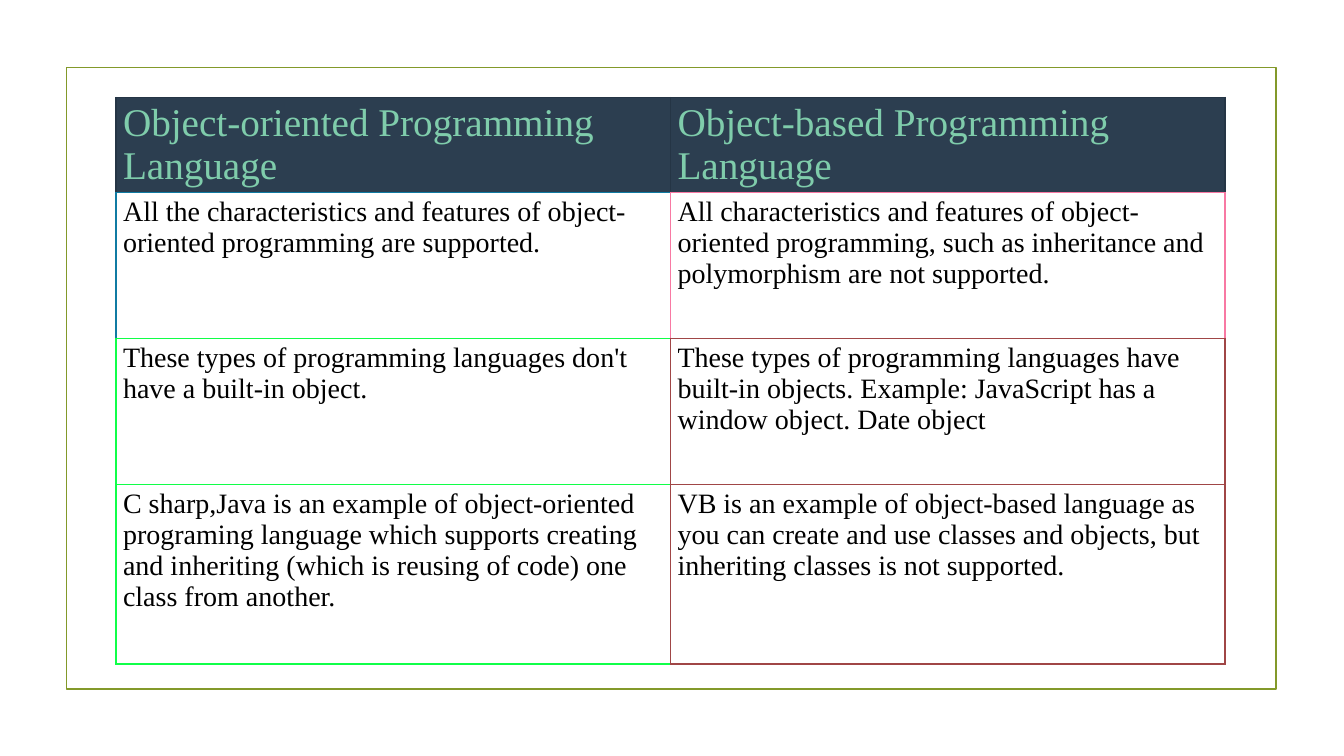
from dataclasses import dataclass
from typing import NamedTuple

from lxml import etree
from pptx import Presentation
from pptx.dml.color import RGBColor
from pptx.enum.shapes import MSO_SHAPE
from pptx.enum.text import MSO_ANCHOR
from pptx.oxml.ns import qn
from pptx.util import Inches, Pt

RECTANGLE = MSO_SHAPE.RECTANGLE
TOP = MSO_ANCHOR.TOP
MIDDLE = MSO_ANCHOR.MIDDLE

SLIDE_WIDTH = Inches(13.33)
SLIDE_HEIGHT = Inches(7.5)


@dataclass(frozen=True)
class Theme:
    font: str = "Times New Roman"
    heading_size: float = 28
    body_size: float = 20
    frame_width: float = 1.25
    border_width: float = 1
    olive: str = "83992A"
    navy: str = "2C3E50"
    dark_navy: str = "253545"
    mint: str = "7FCCAB"
    white: str = "FFFFFF"
    black: str = "000000"
    teal: str = "107BA3"
    pink: str = "F879A3"
    green: str = "10FF48"
    red: str = "A04646"


THEME = Theme()


class Area(NamedTuple):
    """Percentages of the slide's width and height."""

    left: float
    top: float
    width: float
    height: float


class Borders(NamedTuple):
    left: str
    right: str
    top: str
    bottom: str


@dataclass(frozen=True)
class Entry:
    text: str
    borders: Borders


@dataclass(frozen=True)
class CellStyle:
    fill: str
    color: str
    size: float
    anchor: MSO_ANCHOR


@dataclass(frozen=True)
class Row:
    height: float
    style: CellStyle
    entries: tuple[Entry, ...]


HEADING = CellStyle(THEME.navy, THEME.mint, THEME.heading_size, MIDDLE)
BODY = CellStyle(THEME.white, THEME.black, THEME.body_size, TOP)

HEADING_LEFT = Borders(THEME.dark_navy, THEME.dark_navy, THEME.dark_navy, THEME.teal)
HEADING_RIGHT = HEADING_LEFT._replace(bottom=THEME.pink)
FEATURES_LEFT = Borders(THEME.teal, THEME.pink, THEME.teal, THEME.green)
FEATURES_RIGHT = Borders(THEME.pink, THEME.pink, THEME.pink, THEME.red)
ORIENTED = Borders(THEME.green, THEME.red, THEME.green, THEME.green)
BASED = Borders(THEME.red, THEME.red, THEME.red, THEME.red)

FRAME = Area(4.95, 8.93, 90, 82.27)
TABLE_LEFT, TABLE_TOP, TABLE_WIDTH = 8.63, 12.9, 82.52

ROWS = (
    Row(12.53, HEADING, (
        Entry("Object-oriented Programming Language", HEADING_LEFT),
        Entry("Object-based Programming Language", HEADING_RIGHT),
    )),
    Row(19.33, BODY, (
        Entry("All the characteristics and features of object-oriented "
              "programming are supported.", FEATURES_LEFT),
        Entry("All characteristics and features of object-oriented programming, "
              "such as inheritance and polymorphism are not supported.", FEATURES_RIGHT),
    )),
    Row(19.33, BODY, (
        Entry("These types of programming languages don't have a built-in object.",
              ORIENTED),
        Entry("These types of programming languages have built-in objects. "
              "Example: JavaScript has a window object. Date object", BASED),
    )),
    Row(23.73, BODY, (
        Entry("C sharp,Java is an example of object-oriented programing language "
              "which supports creating and inheriting (which is reusing of code) "
              "one class from another.", ORIENTED),
        Entry("VB is an example of object-based language as you can create and use "
              "classes and objects, but inheriting classes is not supported.", BASED),
    )),
)


def across(percent: float) -> int:
    return round(SLIDE_WIDTH * percent / 100)


def down(percent: float) -> int:
    return round(SLIDE_HEIGHT * percent / 100)


def place(area: Area) -> tuple[int, int, int, int]:
    return across(area.left), down(area.top), across(area.width), down(area.height)


def draw_frame(page, area: Area) -> None:
    box = page.shapes.add_shape(RECTANGLE, *place(area))
    box.shadow.inherit = False
    box.fill.background()
    box.line.color.rgb = RGBColor.from_string(THEME.olive)
    box.line.width = Pt(THEME.frame_width)


def draw_borders(cell, borders: Borders) -> None:
    properties = cell._tc.get_or_add_tcPr()
    for index, (side, color) in enumerate(zip("LRTB", borders)):
        line = etree.Element(qn(f"a:ln{side}"), w=str(Pt(THEME.border_width)))
        fill = etree.SubElement(line, qn("a:solidFill"))
        etree.SubElement(fill, qn("a:srgbClr"), val=color)
        properties.insert(index, line)


def fill_cell(cell, entry: Entry, style: CellStyle) -> None:
    cell.fill.solid()
    cell.fill.fore_color.rgb = RGBColor.from_string(style.fill)
    cell.vertical_anchor = style.anchor
    cell.margin_left = cell.margin_right = Inches(0.07)
    cell.margin_top = cell.margin_bottom = Inches(0.04)
    cell.text = entry.text
    font = cell.text_frame.paragraphs[0].font
    font.name = THEME.font
    font.size = Pt(style.size)
    font.color.rgb = RGBColor.from_string(style.color)
    draw_borders(cell, entry.borders)


def draw_table(page, rows: tuple[Row, ...]) -> None:
    area = Area(TABLE_LEFT, TABLE_TOP, TABLE_WIDTH, sum(row.height for row in rows))
    table = page.shapes.add_table(len(rows), len(rows[0].entries), *place(area)).table
    table.first_row = False
    table.horz_banding = False
    for row_index, row in enumerate(rows):
        table.rows[row_index].height = down(row.height)
        for column_index, entry in enumerate(row.entries):
            fill_cell(table.cell(row_index, column_index), entry, row.style)


def main() -> None:
    deck = Presentation()
    deck.slide_width = SLIDE_WIDTH
    deck.slide_height = SLIDE_HEIGHT
    page = deck.slides.add_slide(deck.slide_layouts[6])
    draw_frame(page, FRAME)
    draw_table(page, ROWS)
    deck.save("out.pptx")


if __name__ == "__main__":
    main()
